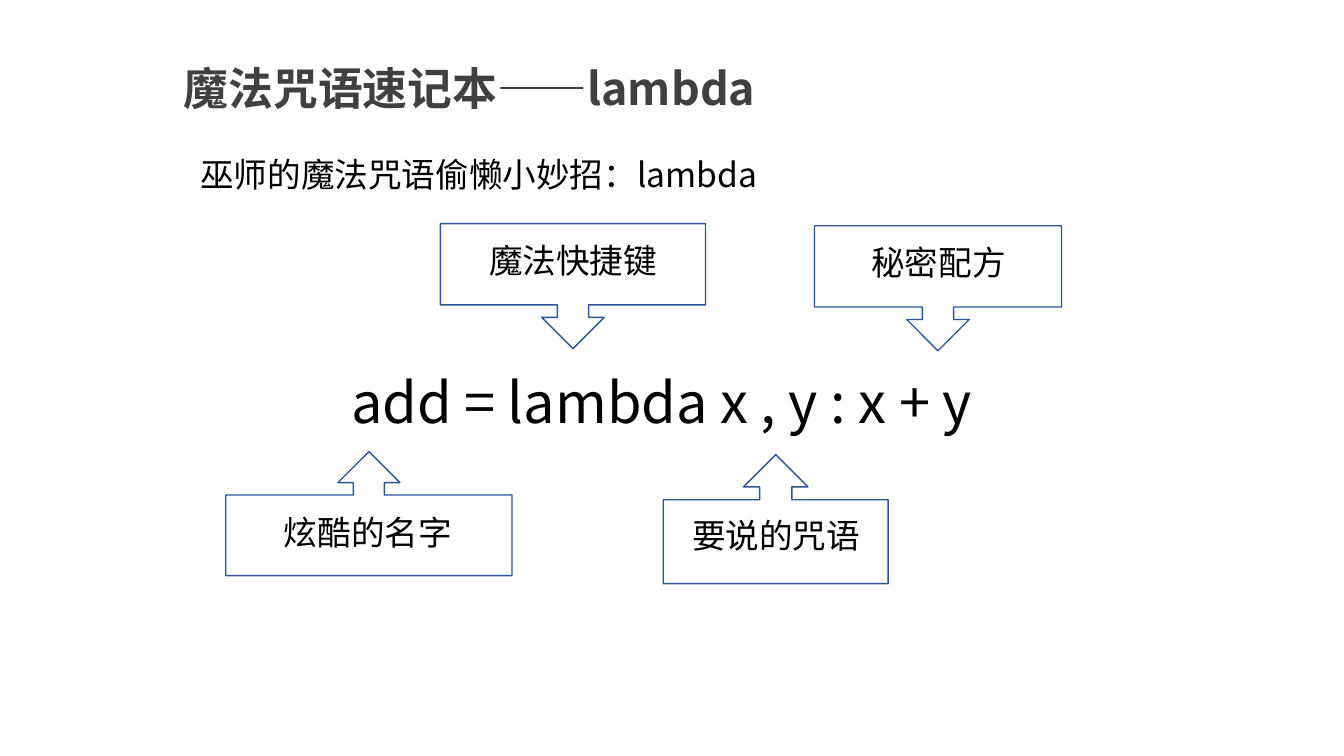
from dataclasses import dataclass

from lxml import etree
from pptx import Presentation
from pptx.dml.color import RGBColor
from pptx.enum.shapes import MSO_SHAPE
from pptx.enum.text import MSO_ANCHOR, PP_ALIGN
from pptx.oxml.ns import qn
from pptx.util import Pt

LEFT, CENTER = PP_ALIGN.LEFT, PP_ALIGN.CENTER
TOP = MSO_ANCHOR.TOP
UP, DOWN = MSO_SHAPE.UP_ARROW_CALLOUT, MSO_SHAPE.DOWN_ARROW_CALLOUT
TITLE_ONLY = 5


@dataclass(frozen=True)
class Theme:
    title_color: RGBColor = RGBColor(0x40, 0x40, 0x40)
    text_color: RGBColor = RGBColor(0, 0, 0)
    fill_color: RGBColor = RGBColor(0xFF, 0xFF, 0xFF)
    line_color: RGBColor = RGBColor(0x2F, 0x55, 0x97)
    title_font: str = "Noto Sans CJK JP"
    text_font: str = "Noto Sans CJK SC"
    title_size: int = 32
    text_size: int = 24
    code_size: int = 40


def write_text(frame, text, *, font, size, color, bold=False, align=LEFT):
    """Fill a text frame with one formatted paragraph."""
    frame.word_wrap = True
    frame.vertical_anchor = TOP
    para = frame.paragraphs[0]
    para.alignment = align
    span = para.add_run()
    span.text = text
    span.font.name = font
    span.font.size = Pt(size)
    span.font.bold = bold
    span.font.color.rgb = color
    # East Asian characters take their own typeface element
    east_asian = etree.Element(qn("a:ea"), typeface=font)
    span.font._element.find(qn("a:latin")).addnext(east_asian)


class SlideBuilder:
    def __init__(self, slide, theme):
        self.slide = slide
        self.theme = theme

    def title(self, text, left, top, width, height):
        box = self.slide.shapes.title
        box.left, box.top = Pt(left), Pt(top)
        box.width, box.height = Pt(width), Pt(height)
        write_text(box.text_frame, text, font=self.theme.title_font,
                   size=self.theme.title_size, color=self.theme.title_color,
                   bold=True)

    def text(self, text, left, top, width, height, size=None, align=CENTER):
        box = self.slide.shapes.add_textbox(
            Pt(left), Pt(top), Pt(width), Pt(height))
        write_text(box.text_frame, text, font=self.theme.text_font,
                   size=size or self.theme.text_size,
                   color=self.theme.text_color, align=align)

    def callout(self, kind, left, top, width, height):
        shape = self.slide.shapes.add_shape(
            kind, Pt(left), Pt(top), Pt(width), Pt(height))
        shape.shadow.inherit = False
        shape.fill.solid()
        shape.fill.fore_color.rgb = self.theme.fill_color
        shape.line.color.rgb = self.theme.line_color
        shape.line.width = Pt(1)


def main():
    deck = Presentation()
    deck.slide_width, deck.slide_height = Pt(960), Pt(540)
    theme = Theme()
    page = SlideBuilder(
        deck.slides.add_slide(deck.slide_layouts[TITLE_ONLY]), theme)

    # Heading, introduction and the line of code
    page.title("魔法咒语速记本——lambda", 124, 39.5, 493, 46)
    page.text("巫师的魔法咒语偷懒小妙招：lambda", 136, 106.5, 546, 36, align=LEFT)
    page.text("add = lambda x , y : x + y", 161, 259, 623, 55.5,
              size=theme.code_size)

    # Callouts: kind, frame, label and label frame
    callouts = [
        (UP, (473.8, 324.7, 160.6, 92.2), "要说的咒语", (481.7, 364.3, 145.4, 36)),
        (DOWN, (314.6, 159.8, 189.4, 89.3), "魔法快捷键", (328.3, 167.8, 162, 36)),
        (DOWN, (581.8, 161.3, 176.4, 89.3), "秘密配方", (609.1, 169.2, 122.4, 36)),
        (UP, (161.3, 322.6, 204.5, 88.6), "炫酷的名字", (184.3, 362.2, 157, 36)),
    ]
    for kind, frame, label, label_frame in callouts:
        page.callout(kind, *frame)
        page.text(label, *label_frame)

    deck.save("out.pptx")


if __name__ == "__main__":
    main()
